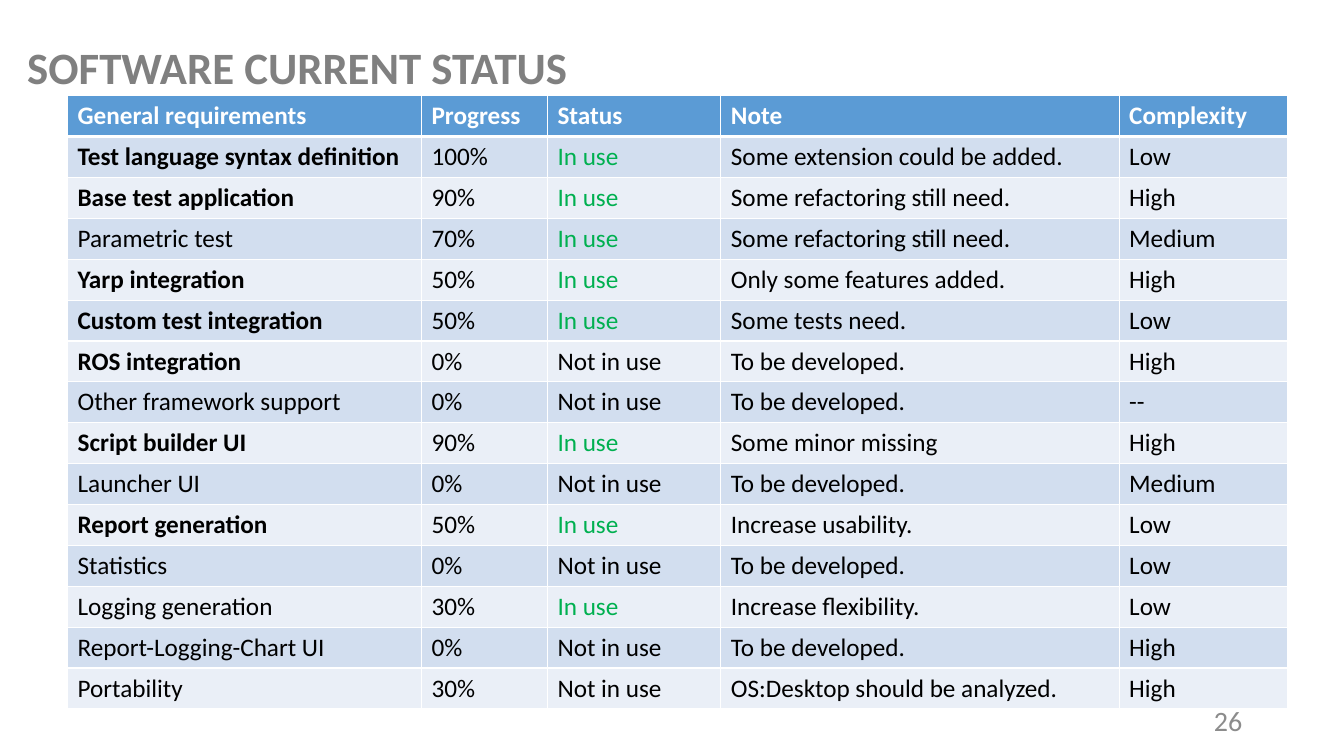
from dataclasses import dataclass

from pptx import Presentation
from pptx.dml.color import RGBColor
from pptx.enum.text import MSO_ANCHOR, PP_ALIGN
from pptx.oxml import parse_xml
from pptx.oxml.ns import nsdecls
from pptx.util import Inches, Pt


@dataclass(frozen=True)
class Theme:
    font: str = "Calibri"
    title_size: int = 32
    table_size: int = 18
    number_size: int = 20
    title: str = "808080"
    number: str = "8C8C8C"
    text: str = "000000"
    in_use: str = "00B050"
    white: str = "FFFFFF"
    header: str = "5B9BD5"
    bands: tuple = ("D2DEEF", "EAEFF7")


THEME = Theme()

HEADINGS = ("General requirements", "Progress", "Status", "Note", "Complexity")
COLUMN_WIDTHS = (3.51, 1.25, 1.72, 3.95, 1.67)
MAIN_REQUIREMENTS = {
    "Test language syntax definition", "Base test application", "Yarp integration",
    "Custom test integration", "ROS integration", "Script builder UI", "Report generation",
}
REQUIREMENTS = (
    ("Test language syntax definition", "100%", "In use", "Some extension could be added.", "Low"),
    ("Base test application", "90%", "In use", "Some refactoring still need.", "High"),
    ("Parametric test", "70%", "In use", "Some refactoring still need.", "Medium"),
    ("Yarp integration", "50%", "In use", "Only some features added.", "High"),
    ("Custom test integration", "50%", "In use", "Some tests need.", "Low"),
    ("ROS integration", "0%", "Not in use", "To be developed.", "High"),
    ("Other framework support", "0%", "Not in use", "To be developed.", "--"),
    ("Script builder UI", "90%", "In use", "Some minor missing", "High"),
    ("Launcher UI", "0%", "Not in use", "To be developed.", "Medium"),
    ("Report generation", "50%", "In use", "Increase usability.", "Low"),
    ("Statistics", "0%", "Not in use", "To be developed.", "Low"),
    ("Logging generation", "30%", "In use", "Increase flexibility.", "Low"),
    ("Report-Logging-Chart UI", "0%", "Not in use", "To be developed.", "High"),
    ("Portability", "30%", "Not in use", "OS:Desktop should be analyzed.", "High"),
)


def write_text(frame, text, size, color, bold=False, align=PP_ALIGN.LEFT,
               line_spacing=None, space_before=0):
    paragraph = frame.paragraphs[0]
    paragraph.alignment = align
    paragraph.line_spacing = line_spacing
    paragraph.space_before = Pt(space_before)
    run = paragraph.add_run()
    run.text = text
    run.font.name = THEME.font
    run.font.size = Pt(size)
    run.font.bold = bold
    run.font.color.rgb = RGBColor.from_string(color)


def set_borders(cell, bottom_width):
    """Draw white cell borders, 1 pt wide except at the bottom."""
    properties = cell._tc.get_or_add_tcPr()
    widths = {"lnL": 1, "lnR": 1, "lnT": 1, "lnB": bottom_width}
    for position, (side, width) in enumerate(widths.items()):
        properties.insert(position, parse_xml(
            f'<a:{side} {nsdecls("a")} w="{Pt(width)}"><a:solidFill>'
            f'<a:srgbClr val="{THEME.white}"/></a:solidFill></a:{side}>'))


def fill_cell(cell, text, fill, color, bold=False, bottom_width=1):
    cell.fill.solid()
    cell.fill.fore_color.rgb = RGBColor.from_string(fill)
    set_borders(cell, bottom_width)
    write_text(cell.text_frame, text, THEME.table_size, color, bold=bold)


def set_title(slide, text):
    title = slide.shapes.title
    title.left, title.top = Inches(0.17), Inches(0.5)
    title.width, title.height = Inches(8.25), Inches(0.45)
    title.text_frame.vertical_anchor = MSO_ANCHOR.MIDDLE
    write_text(title.text_frame, text, THEME.title_size, THEME.title, bold=True,
               line_spacing=0.7, space_before=10)


def add_status_table(slide):
    row_count = len(REQUIREMENTS) + 1
    table = slide.shapes.add_table(
        row_count, len(HEADINGS), Inches(0.67), Inches(0.95),
        Inches(sum(COLUMN_WIDTHS)), Inches(6.08)).table
    for column, width in zip(table.columns, COLUMN_WIDTHS):
        column.width = Inches(width)
    for column, heading in enumerate(HEADINGS):
        fill_cell(table.cell(0, column), heading, THEME.header, THEME.white,
                  bold=True, bottom_width=3)
    for row, requirement in enumerate(REQUIREMENTS, start=1):
        band = THEME.bands[(row - 1) % 2]
        for column, text in enumerate(requirement):
            color = THEME.in_use if text == "In use" else THEME.text
            fill_cell(table.cell(row, column), text, band, color,
                      bold=text in MAIN_REQUIREMENTS)


def add_page_number(slide, number):
    box = slide.shapes.add_textbox(Inches(9.42), Inches(6.95), Inches(3), Inches(0.4))
    box.text_frame.word_wrap = True
    box.text_frame.vertical_anchor = MSO_ANCHOR.MIDDLE
    write_text(box.text_frame, number, THEME.number_size, THEME.number, align=PP_ALIGN.RIGHT)


def main():
    presentation = Presentation()
    presentation.slide_width, presentation.slide_height = Inches(13.33), Inches(7.5)
    slide = presentation.slides.add_slide(presentation.slide_layouts[5])
    set_title(slide, "SOFTWARE CURRENT STATUS")
    add_status_table(slide)
    add_page_number(slide, "26")
    presentation.save("out.pptx")


if __name__ == "__main__":
    main()
